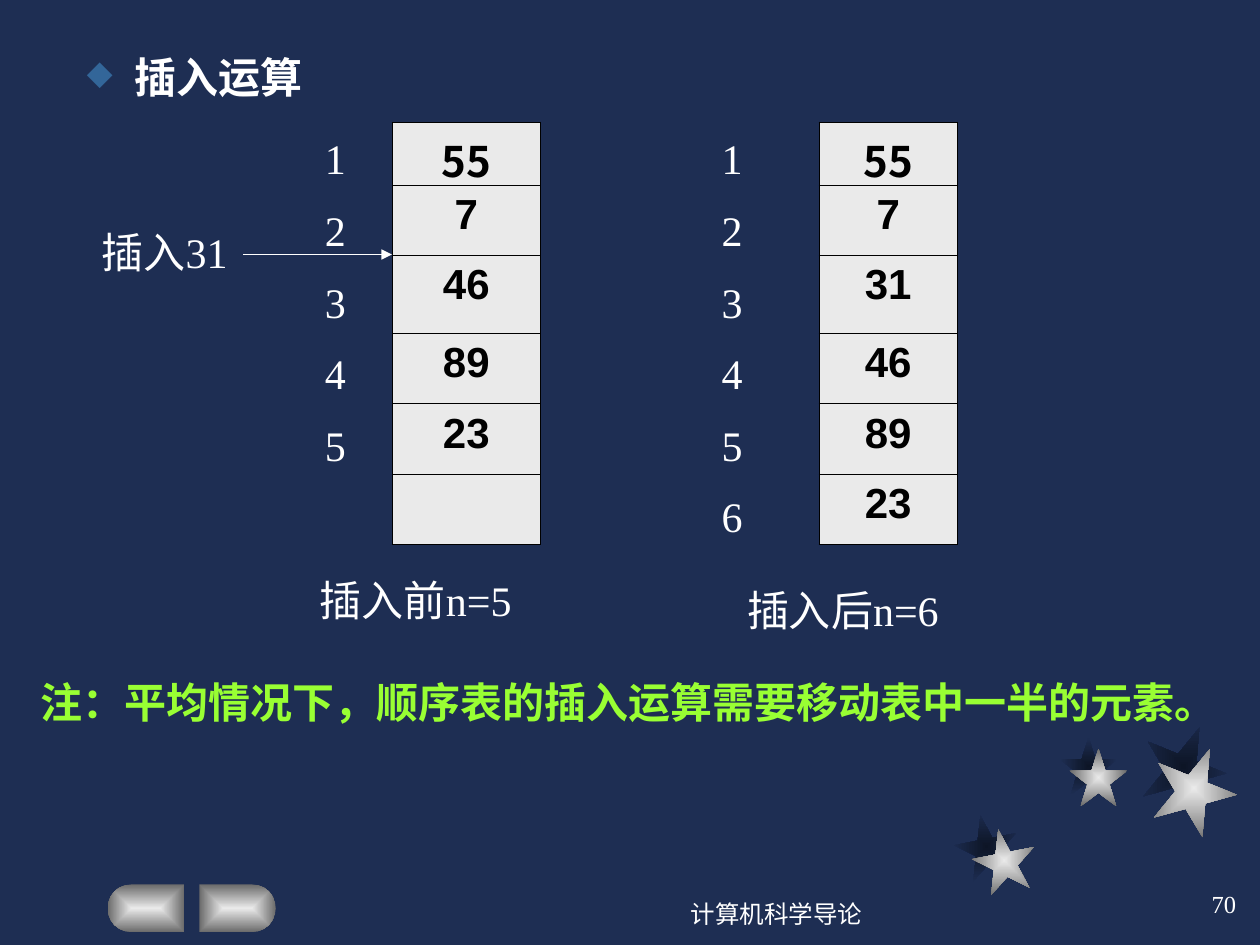
from dataclasses import dataclass
from math import cos, radians, sin

from lxml import etree
from pptx import Presentation
from pptx.dml.color import RGBColor
from pptx.enum.shapes import MSO_CONNECTOR, MSO_SHAPE
from pptx.enum.text import MSO_ANCHOR, PP_ALIGN
from pptx.oxml.ns import qn
from pptx.util import Cm, Pt

STAR = MSO_SHAPE.STAR_5_POINT
LINE = MSO_CONNECTOR.STRAIGHT
LEFT, MID, RIGHT = PP_ALIGN.LEFT, PP_ALIGN.CENTER, PP_ALIGN.RIGHT
TOP, HALF = MSO_ANCHOR.TOP, MSO_ANCHOR.MIDDLE

NAVY, DARK = "1E2E53", "0D1526"
PALE, GRAY = "EAEAEA", "6B6B6B"
WHITE, BLACK, LIME, BLUE = "FFFFFF", "000000", "99FF33", "336699"
SERIF, SANS, HAN = "Times New Roman", "Arial", "Noto Sans CJK SC"
ROWS = [1.27, 1.42, 1.57, 1.42, 1.42, 1.42]


@dataclass
class Star:
    x: float
    y: float
    size: float
    turn: int
    core: str
    edge: str


@dataclass
class Stack:
    x: float
    width: float
    index: float
    count: int
    values: list[str]


STARS = [
    Star(19.25, 16.43, 1.27, 349, DARK, NAVY),
    Star(21.36, 14.86, 1.17, 0, DARK, NAVY),
    Star(23.01, 14.61, 1.7, 22, DARK, NAVY),
    Star(19.61, 16.71, 1.27, 349, PALE, GRAY),
    Star(21.56, 15.09, 1.17, 0, PALE, GRAY),
    Star(23.22, 15.04, 1.7, 22, PALE, GRAY),
]
STACKS = [
    Stack(7.9, 3, 6.3, 5, ["55", "7", "46", "89", "23", ""]),
    Stack(16.51, 2.79, 14.3, 6, ["55", "7", "31", "46", "89", "23"]),
]


def tint(code: str) -> RGBColor:
    return RGBColor.from_string(code)


def add(node, tag: str, **attrs: str):
    return etree.SubElement(node, qn(tag), attrs)


def write(frame, text: str, *, size: float = 24, font: str = SERIF, color: str = WHITE,
          bold: bool = False, align=LEFT, space: float = 0, lines: float | None = None,
          bullet: str = "") -> None:
    for i, words in enumerate(text.split("\n")):
        para = frame.paragraphs[0] if i == 0 else frame.add_paragraph()
        if bullet:
            props = para._p.get_or_add_pPr()
            props.set("marL", str(Cm(0.97)))
            props.set("indent", str(-Cm(0.97)))
            add(add(props, "a:buClr"), "a:srgbClr", val=BLUE)
            add(props, "a:buSzPct", val="80000")
            add(props, "a:buChar", char=bullet)
        para.alignment = align
        if i and space:
            para.space_before = Pt(space)
        if lines:
            para.line_spacing = lines
        run = para.add_run()
        run.text = words
        run.font.size = Pt(size)
        run.font.name = font
        run.font.bold = bold
        run.font.color.rgb = tint(color)


def label(slide, text: str, x: float, y: float, w: float, h: float, *,
          wrap: bool = False, anchor=TOP, **style) -> None:
    frame = slide.shapes.add_textbox(Cm(x), Cm(y), Cm(w), Cm(h)).text_frame
    frame.word_wrap = wrap
    frame.vertical_anchor = anchor
    write(frame, text, **style)


def shade(shape, core: str, edge: str) -> None:
    shape.shadow.inherit = False
    shape.line.fill.background()
    shape.fill.gradient()
    for stop, code in zip(shape.fill.gradient_stops, (core, edge)):
        stop.color.rgb = tint(code)
    grad = shape._element.spPr.find(qn("a:gradFill"))
    grad.remove(grad.find(qn("a:lin")))
    focus = add(grad, "a:path", path="rect")
    add(focus, "a:fillToRect", l="50000", t="50000", r="50000", b="50000")


def draw_star(slide, star: Star) -> None:
    side = Cm(star.size)
    shape = slide.shapes.add_shape(STAR, Cm(star.x), Cm(star.y), side, side)
    shape.rotation = star.turn
    shade(shape, star.core, star.edge)


def draw_button(slide, flat: float, side: int) -> None:
    top, radius, length = 17.83, 0.48, 1.54
    hub = flat + side * (length - radius)
    arc = [(Cm(hub + side * radius * cos(radians(a))),
            Cm(top + radius + radius * sin(radians(a)))) for a in range(-90, 91, 15)]
    path = slide.shapes.build_freeform(Cm(flat), Cm(top))
    path.add_line_segments(arc + [(Cm(flat), Cm(top + 2 * radius))], close=True)
    shade(path.convert_to_shape(), PALE, GRAY)


def frame_cell(cell) -> None:
    props = cell._tc.get_or_add_tcPr()
    for i, tag in enumerate(("a:lnL", "a:lnR", "a:lnT", "a:lnB")):
        edge = etree.Element(qn(tag), w=str(Pt(0.45)))
        add(add(edge, "a:solidFill"), "a:srgbClr", val=BLACK)
        props.insert(i, edge)


def draw_stack(slide, stack: Stack) -> None:
    table = slide.shapes.add_table(len(ROWS), 1, Cm(stack.x), Cm(2.46),
                                   Cm(stack.width), Cm(sum(ROWS))).table
    table.first_row = table.horz_banding = False
    for i, (height, value) in enumerate(zip(ROWS, stack.values)):
        table.rows[i].height = Cm(height)
        cell = table.cell(i, 0)
        cell.fill.solid()
        cell.fill.fore_color.rgb = tint(PALE)
        frame_cell(cell)
        if value:
            write(cell.text_frame, value, font=SANS if i else HAN, color=BLACK,
                  bold=True, align=MID)
    marks = "\n".join(str(n + 1) for n in range(stack.count))
    label(slide, marks, stack.index, 2.67, 1.4, 1.4 * stack.count, wrap=True,
          space=15, lines=0.9)


def draw_arrow(slide, start: float, end: float, y: float) -> None:
    arrow = slide.shapes.add_connector(LINE, Cm(start), Cm(y), Cm(end), Cm(y))
    arrow.line.width = Pt(1)
    arrow.line.color.rgb = tint(WHITE)
    add(arrow.line._get_or_add_ln(), "a:tailEnd", type="triangle")
    add(arrow._element.spPr, "a:effectLst")


def main() -> None:
    deck = Presentation()
    deck.slide_width, deck.slide_height = Cm(25.4), Cm(19.05)
    slide = deck.slides.add_slide(deck.slide_layouts[6])
    slide.background.fill.solid()
    slide.background.fill.fore_color.rgb = tint(NAVY)

    for star in STARS:
        draw_star(slide, star)
    draw_button(slide, 3.71, -1)
    draw_button(slide, 4.02, 1)

    label(slide, "插入运算", 1.5, 0.91, 22, 1.6, wrap=True, font=SANS, bold=True, bullet="◆")
    for stack in STACKS:
        draw_stack(slide, stack)
    label(slide, "插入31", 1.8, 4.45, 3.25, 1.27)
    draw_arrow(slide, 4.9, 7.9, 5.13)
    label(slide, "插入前n=5", 6.2, 11.46, 4.57, 1.27)
    label(slide, "插入后n=6", 14.81, 11.66, 4.57, 1.27)
    label(slide, "注：平均情况下，顺序表的插入运算需要移动表中一半的元素。",
          0.56, 13.51, 24.21, 1.27, color=LIME, bold=True)
    label(slide, "计算机科学导论", 11.63, 17.78, 8.05, 1.27, wrap=True, anchor=HALF,
          size=14, align=MID)
    label(slide, "70", 19.89, 17.58, 5.28, 1.27, wrap=True, anchor=HALF,
          size=14, align=RIGHT)
    deck.save("out.pptx")


if __name__ == "__main__":
    main()
